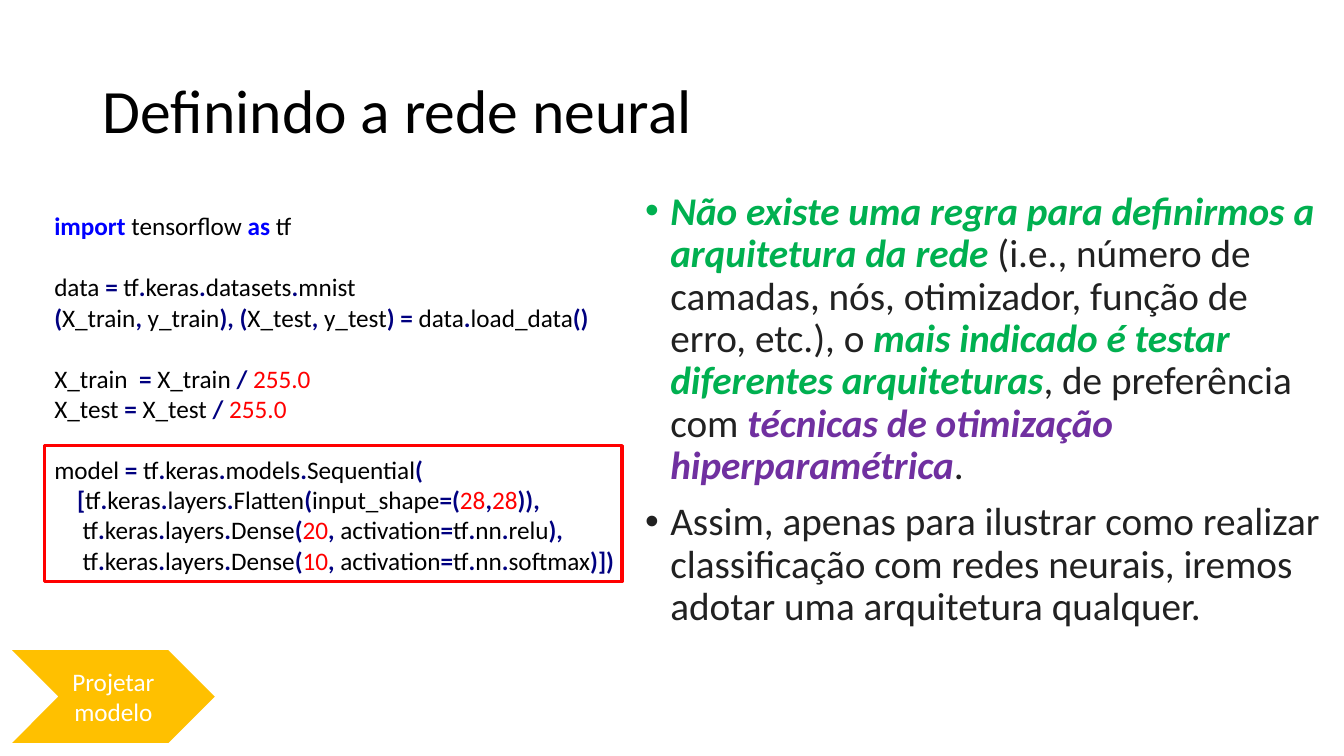
from itertools import groupby

from lxml.etree import SubElement
from pptx import Presentation
from pptx.dml.color import RGBColor
from pptx.enum.shapes import MSO_SHAPE
from pptx.enum.text import MSO_ANCHOR, PP_ALIGN
from pptx.oxml.ns import qn
from pptx.util import Inches, Pt

COLORS = {
    "black": "000000", "text": "212121", "white": "FFFFFF",
    "green": "00B050", "purple": "7030A0", "blue": "0000FF",
    "navy": "000080", "red": "FF0000", "gold": "FFC000",
}
FONT = "Calibri"
KEYS = {"import", "as"}
SIGNS = "=.,()[]/"

CODE = """import tensorflow as tf

data = tf.keras.datasets.mnist
(X_train, y_train), (X_test, y_test) = data.load_data()

X_train  = X_train / 255.0
X_test = X_test / 255.0

model = tf.keras.models.Sequential(
    [tf.keras.layers.Flatten(input_shape=(28,28)),
     tf.keras.layers.Dense(20, activation=tf.nn.relu),
     tf.keras.layers.Dense(10, activation=tf.nn.softmax)])"""

# Each run: text, colour, emphasis
POINTS = [
    [("Não existe uma regra para definirmos a arquitetura da rede ", "green", True),
     ("(i.e., número de camadas, nós, otimizador, função de erro, etc.), o ", "text", False),
     ("mais indicado é testar diferentes arquiteturas", "green", True),
     (", de preferência com ", "text", False),
     ("técnicas de otimização hiperparamétrica", "purple", True),
     (".", "text", False)],
    [("Assim, apenas para ilustrar como realizar classificação com redes neurais, "
      "iremos adotar uma arquitetura qualquer.", "text", False)],
]


def rgb(name):
    return RGBColor.from_string(COLORS[name])


def add_run(para, text, size, color, bold=False, italic=False):
    run = para.add_run()
    run.text = text
    font = run.font
    font.name, font.size = FONT, Pt(size)
    font.bold, font.italic = bold, italic
    font.color.rgb = rgb(color)


def add_box(slide, left, top, width, height, anchor=MSO_ANCHOR.TOP):
    box = slide.shapes.add_textbox(
        Inches(left), Inches(top), Inches(width), Inches(height))
    frame = box.text_frame
    frame.word_wrap = True
    frame.vertical_anchor = anchor
    return frame


def next_para(frame, first):
    return frame.paragraphs[0] if first else frame.add_paragraph()


def add_title(slide, text):
    frame = add_box(slide, 0.92, 0.4, 11.5, 1.45, MSO_ANCHOR.MIDDLE)
    para = frame.paragraphs[0]
    para.line_spacing = 0.9
    add_run(para, text, 44, "black")


def set_bullet(para):
    props = para._p.get_or_add_pPr()
    props.set("marL", str(Inches(0.25)))
    props.set("indent", str(-Inches(0.25)))
    SubElement(props, qn("a:buFont"), typeface="Arial")
    SubElement(props, qn("a:buChar"), char="•")


def add_points(slide, points):
    frame = add_box(slide, 6.3, 1.85, 6.91, 5.65)
    for index, runs in enumerate(points):
        para = next_para(frame, index == 0)
        set_bullet(para)
        para.line_spacing = 0.9
        if index:
            para.space_before = Pt(10)
        for text, color, strong in runs:
            add_run(para, text, 28, color, strong, strong)


def split_code(line):
    """Split a line into words, spaces and signs; a decimal stays whole."""
    def kind(item):
        index, char = item
        if char == "." and line[index + 1:index + 2].isdigit():
            return "word"
        return "sign" if char in SIGNS else "space" if char == " " else "word"

    for group, items in groupby(enumerate(line), kind):
        yield group, "".join(char for _, char in items)


def code_color(group, text):
    if group == "sign":
        return "navy"
    if text in KEYS:
        return "blue"
    return "red" if text[0].isdigit() else "black"


def add_code(slide, code):
    frame = add_box(slide, 0.44, 2.04, 5.86, 3.74)
    for index, block in enumerate(code.split("\n\n")):
        for row, line in enumerate(block.split("\n")):
            para = next_para(frame, index == row == 0)
            if index and row == 0:
                para.space_before = Pt(22)
            for group, text in split_code(line):
                color = code_color(group, text)
                add_run(para, text, 18, color, color in ("navy", "blue"))


def add_shape(slide, kind, left, top, width, height, fill=None, line=None):
    shape = slide.shapes.add_shape(
        kind, Inches(left), Inches(top), Inches(width), Inches(height))
    shape.shadow.inherit = False
    if fill:
        shape.fill.solid()
        shape.fill.fore_color.rgb = rgb(fill)
    else:
        shape.fill.background()
    if line:
        shape.line.color.rgb = rgb(line)
        shape.line.width = Pt(2.25)
    else:
        shape.line.fill.background()
    return shape


def add_step(slide, text):
    step = add_shape(slide, MSO_SHAPE.CHEVRON, 0.12, 6.45, 2.01, 0.92, fill="gold")
    frame = step.text_frame
    frame.word_wrap = True
    frame.vertical_anchor = MSO_ANCHOR.MIDDLE
    para = frame.paragraphs[0]
    para.alignment = PP_ALIGN.CENTER
    add_run(para, text, 18, "white")


def main():
    deck = Presentation()
    deck.slide_width, deck.slide_height = Inches(13.33), Inches(7.5)
    slide = deck.slides.add_slide(deck.slide_layouts[6])

    # Title and explanation
    add_title(slide, "Definindo a rede neural")
    add_points(slide, POINTS)

    # Code with the model framed
    add_code(slide, CODE)
    add_shape(slide, MSO_SHAPE.RECTANGLE, 0.44, 4.42, 5.73, 1.35, line="red")

    # Current step
    add_step(slide, "Projetar modelo")
    deck.save("out.pptx")


if __name__ == "__main__":
    main()
